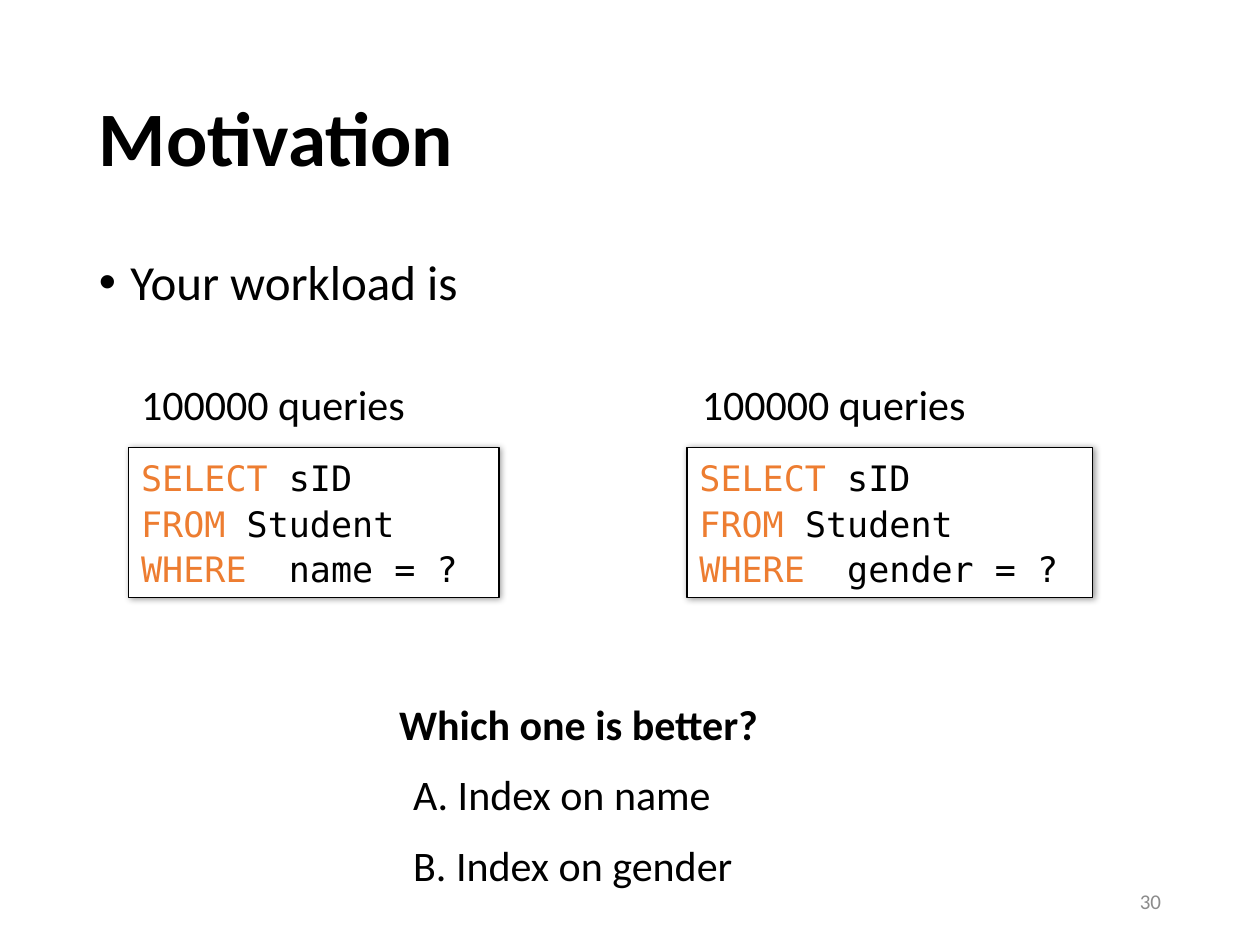
from dataclasses import dataclass

from lxml import etree
from pptx import Presentation
from pptx.dml.color import RGBColor
from pptx.enum.shapes import MSO_SHAPE
from pptx.enum.text import MSO_ANCHOR, MSO_AUTO_SIZE, PP_ALIGN
from pptx.oxml import parse_xml
from pptx.oxml.ns import nsdecls, qn
from pptx.shapes.autoshape import Shape
from pptx.slide import Slide
from pptx.util import Pt

RECTANGLE = MSO_SHAPE.RECTANGLE
TOP, MIDDLE = MSO_ANCHOR.TOP, MSO_ANCHOR.MIDDLE
LEFT, RIGHT = PP_ALIGN.LEFT, PP_ALIGN.RIGHT
FIT_SHAPE = MSO_AUTO_SIZE.SHAPE_TO_FIT_TEXT

BLACK = RGBColor(0x00, 0x00, 0x00)
WHITE = RGBColor(0xFF, 0xFF, 0xFF)
GRAY = RGBColor(0x8C, 0x8C, 0x8C)
ORANGE = RGBColor(0xED, 0x7D, 0x31)
BODY_FONT = "Calibri"
CODE_FONT = "DejaVu Sans Mono"

SHADOW = (
    f'<a:outerShdw {nsdecls("a")} blurRad="{Pt(4)}" dist="{Pt(1)}" dir="2700000" '
    'algn="tl" rotWithShape="0"><a:srgbClr val="000000"><a:alpha val="40000"/>'
    "</a:srgbClr></a:outerShdw>"
)


@dataclass(frozen=True)
class Label:
    text: str
    left: float
    top: float
    width: float
    height: float
    size: float = 24
    color: RGBColor = BLACK
    bold: bool = False
    wrap: bool = False
    anchor: MSO_ANCHOR = TOP
    align: PP_ALIGN = LEFT
    line_spacing: float = 1.0
    space_before: float = 0
    bullet: bool = False


@dataclass(frozen=True)
class Query:
    left: float
    width: float
    condition: str


TITLE = Label("Motivation", 49.5, 28.75, 621, 104.4, size=44, bold=True,
              wrap=True, anchor=MIDDLE, line_spacing=0.9)
BODY = Label("Your workload is", 49.5, 144, 621, 342.6, size=28, wrap=True,
             line_spacing=0.9, space_before=10, bullet=True)
PAGE_NUMBER = Label("30", 508.5, 500.5, 162, 28.75, size=12, color=GRAY,
                    wrap=True, anchor=MIDDLE, align=RIGHT)
COUNTS = [Label("100000 queries", left, 212.6, 166.2, 36.4) for left in (73.6, 394)]
QUESTION = Label("Which one is better?", 221, 395.5, 222.5, 36.4, bold=True)
CHOICES = [
    Label(text, 229, 435.7 + 40.2 * row, width, 36.4)
    for row, (text, width) in enumerate(
        [("A. Index on name", 185.8), ("B. Index on gender", 198.7)]
    )
]
QUERIES = [Query(73.6, 211.7, "name = ?"), Query(392.6, 231.8, "gender = ?")]


def add_span(para, text: str, font: str, size: float, color: RGBColor,
             bold: bool = False) -> None:
    """Append one formatted run to a paragraph."""
    span = para.add_run()
    span.text = text
    span.font.name = font
    span.font.size = Pt(size)
    span.font.color.rgb = color
    span.font.bold = bold


def add_bullet(para) -> None:
    """Give a paragraph a round bullet with a hanging indent."""
    properties = para._p.get_or_add_pPr()
    properties.set("marL", str(Pt(18)))
    properties.set("indent", str(Pt(-18)))
    etree.SubElement(properties, qn("a:buFont")).set("typeface", "Arial")
    etree.SubElement(properties, qn("a:buChar")).set("char", "•")


def add_label(page: Slide, label: Label) -> Shape:
    """Draw a one-paragraph text box."""
    box = page.shapes.add_textbox(
        Pt(label.left), Pt(label.top), Pt(label.width), Pt(label.height))
    frame = box.text_frame
    frame.word_wrap = label.wrap
    frame.vertical_anchor = label.anchor
    if not label.wrap:
        frame.auto_size = FIT_SHAPE
    para = frame.paragraphs[0]
    para.alignment = label.align
    para.line_spacing = label.line_spacing
    para.space_before = Pt(label.space_before)
    if label.bullet:
        add_bullet(para)
    add_span(para, label.text, BODY_FONT, label.size, label.color, label.bold)
    return box


def add_query(page: Slide, query: Query) -> Shape:
    """Draw a shadowed box holding one SQL query."""
    box = page.shapes.add_shape(
        RECTANGLE, Pt(query.left), Pt(255.6), Pt(query.width), Pt(85.7))
    box.fill.solid()
    box.fill.fore_color.rgb = WHITE
    box.line.color.rgb = BLACK
    box.line.width = Pt(0.75)
    box.shadow.inherit = False
    box._element.spPr.find(qn("a:effectLst")).append(parse_xml(SHADOW))
    frame = box.text_frame
    frame.word_wrap = True
    frame.auto_size = FIT_SHAPE
    frame.vertical_anchor = TOP
    clauses = [("SELECT ", "sID"), ("FROM ", "Student"), ("WHERE  ", query.condition)]
    for row, (keyword, operand) in enumerate(clauses):
        para = frame.add_paragraph() if row else frame.paragraphs[0]
        para.alignment = LEFT
        para.line_spacing = Pt(26)
        add_span(para, keyword, CODE_FONT, 20, ORANGE)
        add_span(para, operand, CODE_FONT, 20, BLACK)
    return box


def main() -> None:
    """Build the slide and save the deck."""
    deck = Presentation()
    deck.slide_width, deck.slide_height = Pt(720), Pt(540)
    page = deck.slides.add_slide(deck.slide_layouts[6])
    for label in (TITLE, BODY, PAGE_NUMBER):
        add_label(page, label)
    for query in QUERIES:
        add_query(page, query)
    for label in (*COUNTS, QUESTION, *CHOICES):
        add_label(page, label)
    deck.save("out.pptx")


if __name__ == "__main__":
    main()
